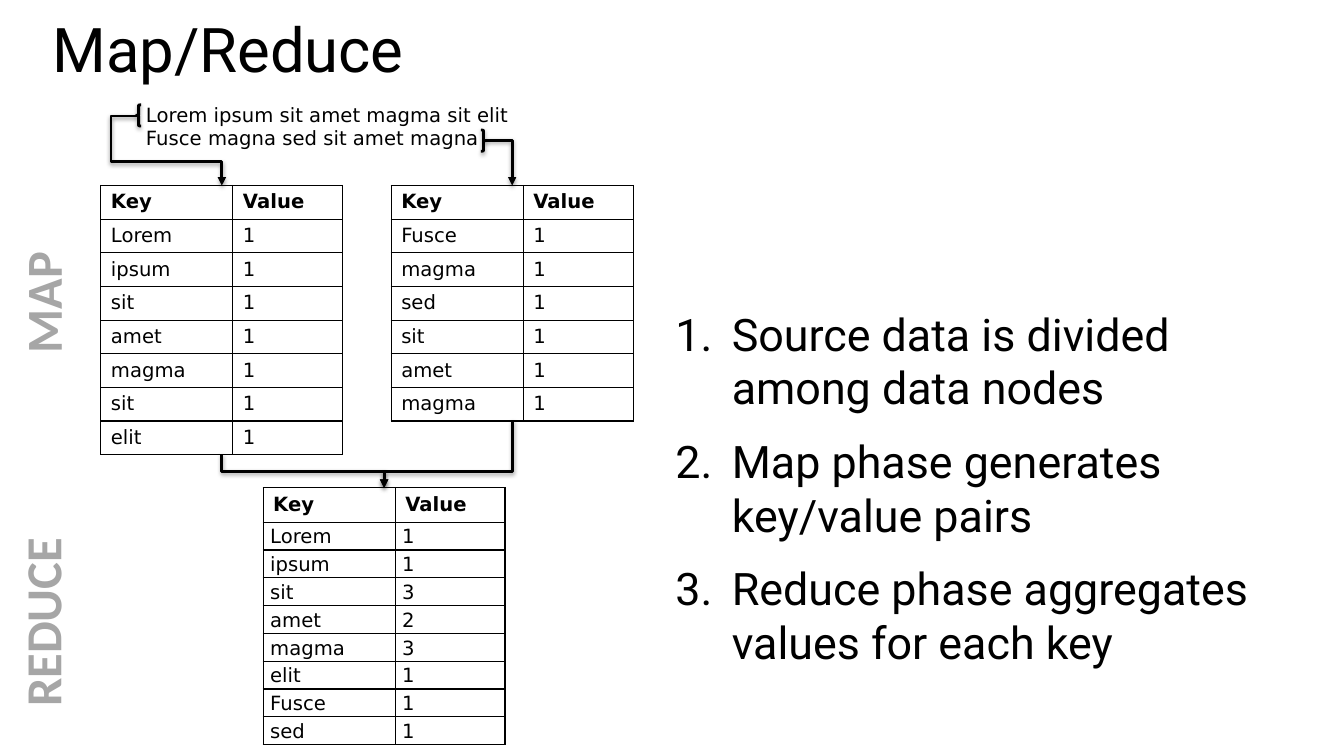
from lxml import etree
from pptx import Presentation
from pptx import util as u
from pptx.dml.color import RGBColor
from pptx.enum import shapes, text
from pptx.oxml import parse_xml
from pptx.oxml.ns import nsdecls, qn

COLORS = {"ink": "000000", "paper": "FFFFFF", "phase": "A6A6A6"}
TITLE = {"name": "Roboto", "size": u.Pt(44)}
STEP = {"name": "Roboto", "size": u.Pt(32)}
DATA = {"name": "DejaVu Sans", "size": u.Pt(14), "bold": False}
HEADER = {**DATA, "bold": True}
PHASE = {"name": "Calibri", "size": u.Pt(36), "bold": True}

deck = Presentation()
deck.slide_width, deck.slide_height = u.Inches(13.33), u.Inches(7.5)
slide = deck.slides.add_slide(deck.slide_layouts[6])


def write(frame, lines, style, color="ink"):
    for index, line in enumerate(lines):
        para = frame.paragraphs[0] if index == 0 else frame.add_paragraph()
        span = para.add_run()
        span.text = line
        for name, value in style.items():
            setattr(span.font, name, value)
        span.font.color.rgb = RGBColor.from_string(COLORS[color])


def outline(item):
    item.line.color.rgb = RGBColor.from_string(COLORS["ink"])
    item.line.width = u.Pt(2)
    properties = item._element.spPr
    for effects in properties.findall(qn("a:effectLst")):
        properties.remove(effects)
    properties.append(parse_xml(
        f'<a:effectLst {nsdecls("a")}><a:outerShdw blurRad="40000" dist="20000" '
        f'dir="5400000" rotWithShape="0"><a:srgbClr val="{COLORS["ink"]}">'
        '<a:alpha val="38000"/></a:srgbClr></a:outerShdw></a:effectLst>'))


steps = ["Source data is divided among data nodes",
         "Map phase generates key/value pairs",
         "Reduce phase aggregates values for each key"]
source_lines = ["Lorem ipsum sit amet magma sit elit",
                "Fusce magna sed sit amet magna"]
text_boxes = [
    ((0.42, 0.2, 12.6, 1.16), ["Map/Reduce"], TITLE),
    ((6.6, 2.99, 6.17, 4), steps, STEP),
    ((1.35, 0.97, 3.93, 0.57), source_lines, DATA),
]
for place, lines, style in text_boxes:
    box = slide.shapes.add_textbox(*map(u.Inches, place))
    box.text_frame.word_wrap = True
    write(box.text_frame, lines, style)
    for index, para in enumerate(box.text_frame.paragraphs):
        if style is TITLE:
            para.line_spacing = 0.8
        if style is STEP:
            para.space_before = u.Pt(14 if index else 0)
            layout = para._p.get_or_add_pPr()
            layout.set("marL", str(u.Inches(0.56)))
            layout.set("indent", str(u.Inches(-0.56)))
            font = etree.SubElement(layout, qn("a:buFont"))
            font.set("typeface", "Roboto")
            number = etree.SubElement(layout, qn("a:buAutoNum"))
            number.set("type", "arabicPeriod")

first_words = source_lines[0].split()
second_words = ["Fusce", "magma", "sed", "sit", "amet", "magma"]
totals = [("Lorem", 1), ("ipsum", 1), ("sit", 3), ("amet", 2),
          ("magma", 3), ("elit", 1), ("Fusce", 1), ("sed", 1)]
tables = [
    (1, 1.84, 2.67 / 8, [(word, 1) for word in first_words], False),
    (3.88, 1.84, 2.33 / 7, [(word, 1) for word in second_words], False),
    (2.61, 4.84, 0.276, totals, True),
]
for left, top, row_height, pairs, compact in tables:
    rows = [("Key", "Value"), *pairs]
    table = slide.shapes.add_table(
        len(rows), 2, u.Inches(left), u.Inches(top),
        u.Inches(2.4), u.Inches(row_height * len(rows))).table
    table.first_row = table.horz_banding = False
    for column, width in zip(table.columns, (1.31, 1.09)):
        column.width = u.Inches(width)
    for r, values in enumerate(rows):
        table.rows[r].height = u.Inches(0.34 if compact and r == 0 else row_height)
        for c, value in enumerate(values):
            cell = table.cell(r, c)
            write(cell.text_frame, [str(value)], DATA if r else HEADER)
            if compact and r:
                cell.margin_left = cell.margin_right = u.Inches(0.07)
                cell.margin_top = cell.margin_bottom = 0
                cell.text_frame.paragraphs[0].line_spacing = 1.15
            for side in ("lnL", "lnR", "lnT", "lnB"):
                cell._tc.get_or_add_tcPr().append(parse_xml(
                    f'<a:{side} {nsdecls("a")} w="12700"><a:solidFill><a:srgbClr '
                    f'val="{COLORS["ink"]}"/></a:solidFill></a:{side}>'))
            cell.fill.solid()
            cell.fill.fore_color.rgb = RGBColor.from_string(COLORS["paper"])

for left, top, flip in [(1.35, 1.04, False), (4.77, 1.29, True)]:
    brace = slide.shapes.add_shape(
        shapes.MSO_SHAPE.LEFT_BRACE, u.Inches(left), u.Inches(top),
        u.Inches(0.05), u.Inches(0.21))
    brace.fill.background()
    outline(brace)
    if flip:
        brace._element.spPr.xfrm.set("flipH", "1")

arrows = [
    ((1.35, 1.15, 0.85, 0.69), 180, "HV", "bentConnector4", (-29300, 65100)),
    ((4.82, 1.39, 0.26, 0.45), 0, "", "bentConnector2", ()),
    ((2.84, 3.87, 0.33, 1.61), 270, "H", "bentConnector3", (50000,)),
    ((4.11, 3.87, 0.67, 1.27), 90, "", "bentConnector3", (75900,)),
]
for (left, top, width, height), turn, flips, bend, bends in arrows:
    arrow = slide.shapes.add_connector(
        shapes.MSO_CONNECTOR.ELBOW, u.Inches(left), u.Inches(top),
        u.Inches(left + width), u.Inches(top + height))
    outline(arrow)
    frame = arrow._element.spPr.xfrm
    frame.set("rot", str(turn * 60000))
    for axis in flips:
        frame.set("flip" + axis, "1")
    geometry = arrow._element.spPr.find(qn("a:prstGeom"))
    geometry.set("prst", bend)
    guides = geometry.find(qn("a:avLst"))
    for index, bend_at in enumerate(bends, 1):
        guide = etree.SubElement(guides, qn("a:gd"))
        guide.set("name", f"adj{index}")
        guide.set("fmla", f"val {bend_at}")
    head = etree.SubElement(arrow.line._get_or_add_ln(), qn("a:tailEnd"))
    head.set("type", "triangle")

for label, left, top, width in [("MAP", -0.19, 2.64, 1.22),
                                ("REDUCE", -0.53, 5.81, 1.89)]:
    box = slide.shapes.add_textbox(
        u.Inches(left), u.Inches(top), u.Inches(width), u.Inches(0.71))
    box.rotation = 270
    box.text_frame.word_wrap = False
    box.text_frame.auto_size = text.MSO_AUTO_SIZE.SHAPE_TO_FIT_TEXT
    write(box.text_frame, [label], PHASE, "phase")

deck.save("out.pptx")
